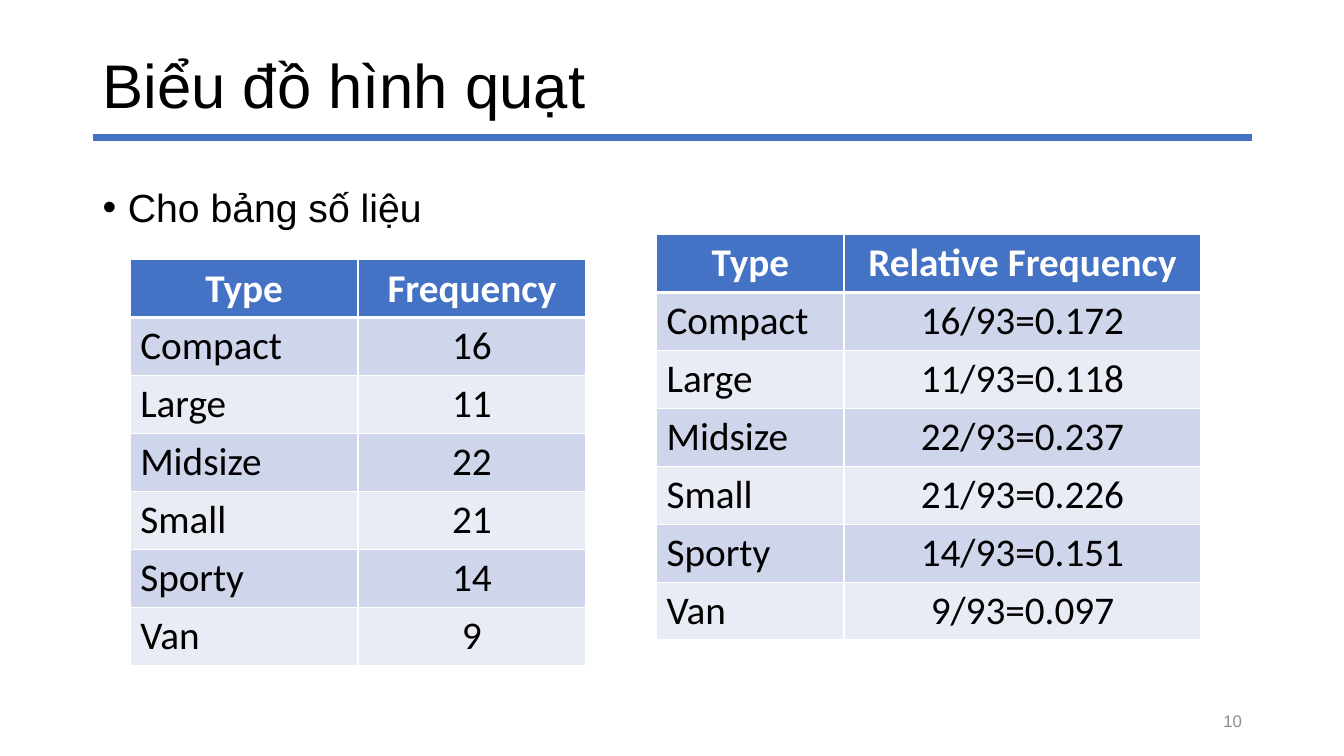
from lxml.etree import SubElement
from pptx import Presentation
from pptx.dml.color import RGBColor
from pptx.enum.shapes import MSO_CONNECTOR as Connector
from pptx.enum.text import MSO_ANCHOR as Anchor, PP_ALIGN as Align
from pptx.oxml.ns import qn
from pptx.util import Pt

COLORS = {
    "accent": "4472C4",
    "text": "000000",
    "number": "8C8C8C",
    "white": "FFFFFF",
    "odd_row": "CFD5EA",
    "even_row": "E9EBF5",
}
COUNTS = {"Compact": 16, "Large": 11, "Midsize": 22, "Small": 21, "Sporty": 14, "Van": 9}
ROW_HEIGHT = 41.4


def color(name):
    """Return the named colour."""
    return RGBColor.from_string(COLORS[name])


def write(frame, text, size=28, font="Arial", ink="text", bold=False,
          align=Align.LEFT, spacing=None, before=None, bullet=None):
    """Write one formatted paragraph into a text frame."""
    para = frame.paragraphs[0]
    para.alignment = align
    para.line_spacing = spacing
    if before:
        para.space_before = Pt(before)
    if bullet:
        props = para._p.get_or_add_pPr()
        props.set("marL", str(Pt(18)))
        props.set("indent", str(Pt(-18)))
        SubElement(props, qn("a:buFont"), typeface="Arial")
        SubElement(props, qn("a:buChar"), char=bullet)
    span = para.add_run()
    span.text = text
    span.font.size = Pt(size)
    span.font.name = font
    span.font.bold = bold
    span.font.color.rgb = color(ink)


def add_text(page, text, left, top, width, height, anchor=Anchor.TOP, **style):
    """Add a wrapping text box."""
    box = page.shapes.add_textbox(Pt(left), Pt(top), Pt(width), Pt(height))
    frame = box.text_frame
    frame.word_wrap = True
    frame.vertical_anchor = anchor
    write(frame, text, **style)


def add_rule(page, left, right, top):
    """Add the line under the title."""
    rule = page.shapes.add_connector(Connector.STRAIGHT, Pt(left), Pt(top), Pt(right), Pt(top))
    rule.line.color.rgb = color("accent")
    rule.line.width = Pt(5)
    SubElement(rule._element.spPr, qn("a:effectLst"))


def set_borders(cell, **widths):
    """Draw white cell borders, with widths given by side."""
    props = cell._tc.get_or_add_tcPr()
    for side, width in widths.items():
        line = SubElement(props, qn(f"a:ln{side}"), w=str(Pt(width)))
        fill = SubElement(line, qn("a:solidFill"))
        SubElement(fill, qn("a:srgbClr"), val=COLORS["white"])


def add_banded_table(page, rows, left, top, widths):
    """Add a table with a header row and banded data rows."""
    frame = page.shapes.add_table(len(rows), len(widths), Pt(left), Pt(top),
                                  Pt(sum(widths)), Pt(ROW_HEIGHT * len(rows)))
    table = frame.table
    for column, width in zip(table.columns, widths):
        column.width = Pt(width)
    for r, values in enumerate(rows):
        table.rows[r].height = Pt(ROW_HEIGHT)
        header = r == 0
        band = "accent" if header else "odd_row" if r % 2 else "even_row"
        for c, value in enumerate(values):
            cell = table.cell(r, c)
            set_borders(cell, L=1, R=1, T=3 if r == 1 else 1, B=3 if header else 1)
            cell.fill.solid()
            cell.fill.fore_color.rgb = color(band)
            write(cell.text_frame, value, font="Calibri", bold=header,
                  ink="white" if header else "text",
                  align=Align.CENTER if header or c else Align.LEFT)


def main():
    """Build the slide and save it."""
    deck = Presentation()
    deck.slide_width, deck.slide_height = Pt(960), Pt(540)
    page = deck.slides.add_slide(deck.slide_layouts[6])

    add_rule(page, 66.24, 894.24, 98)
    add_text(page, "Biểu đồ hình quạt", 66.24, 28.8, 828, 69.1,
             anchor=Anchor.MIDDLE, size=44, spacing=0.9)
    add_text(page, "Cho bảng số liệu", 66.24, 127.44, 828, 358.56, before=10, bullet="•")
    add_text(page, "10", 678.24, 500.4, 216, 28.8, anchor=Anchor.MIDDLE,
             size=12, ink="number", align=Align.RIGHT)

    total = sum(COUNTS.values())
    frequencies = [(kind, str(count)) for kind, count in COUNTS.items()]
    shares = [(kind, f"{count}/{total}={count / total:.3f}") for kind, count in COUNTS.items()]
    add_banded_table(page, [("Type", "Frequency"), *frequencies], 93, 185.5, (162.72, 162.72))
    add_banded_table(page, [("Type", "Relative Frequency"), *shares], 469, 167.5, (133.92, 254.88))

    deck.save("out.pptx")


main()
